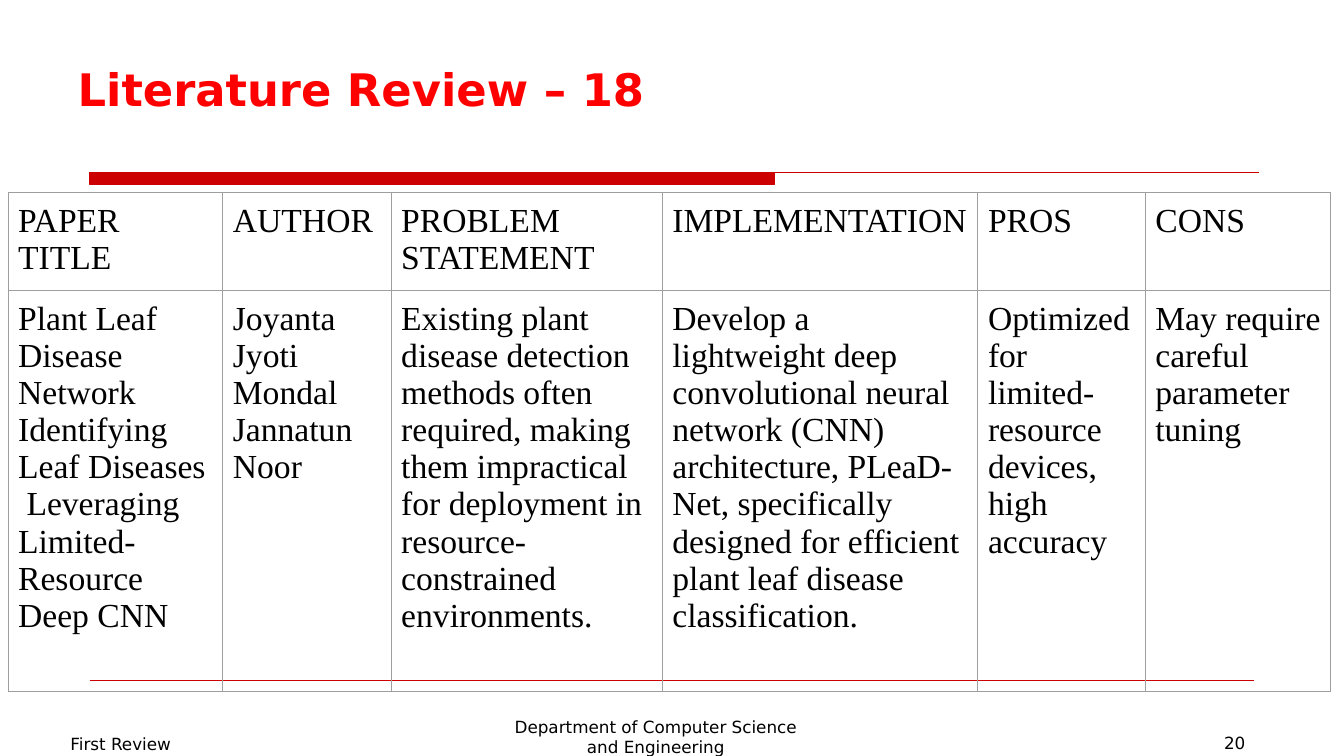
"""Build the literature review slide with its ruled paper table."""
from lxml.etree import SubElement
from pptx import Presentation
from pptx.dml.color import RGBColor as Rgb
from pptx.enum.shapes import MSO_CONNECTOR as Link, MSO_SHAPE as Shape
from pptx.enum.text import MSO_ANCHOR as Anchor, MSO_AUTO_SIZE as Fit, PP_ALIGN as Align
from pptx.oxml import parse_xml
from pptx.oxml.ns import nsdecls, qn
from pptx.util import Inches, Pt

TITLE = "Literature Review – 18"
ROWS = [
    ["PAPER\vTITLE", "AUTHOR", "PROBLEM STATEMENT", "IMPLEMENTATION", "PROS", "CONS"],
    ["Plant Leaf Disease Network Identifying\n"
     "Leaf Diseases  Leveraging Limited-Resource Deep CNN",
     "Joyanta Jyoti Mondal\nJannatun Noor",
     "Existing plant disease detection methods often required, making them "
     "impractical for deployment in resource-constrained environments.",
     "Develop a lightweight deep convolutional neural network (CNN) architecture, "
     "PLeaD-Net, specifically designed for efficient plant leaf disease classification.",
     "Optimized for limited-resource devices, high accuracy",
     "May require careful parameter tuning"],
]
WIDTHS = [2.13, 1.67, 2.69, 3.13, 1.66, 1.84]
HEIGHTS = [0.97, 3.98]
FOOTERS = [
    ("20", (9.56, 7.22, 2.89, 0.52), Align.RIGHT, 0.05),
    ("Department of Computer Science and Engineering",
     (4.9, 7.01, 3.21, 0.61), Align.CENTER, 0.1),
    ("First Review", (0.6, 7.18, 3.28, 0.4), Align.LEFT, 0.1),
]
RULES = [(0.89, 12.49, 1.71), (0.89, 12.44, 6.75)]
BAR = (0.89, 1.71, 6.79, 0.12)
COLORS = {"title": "FF0000", "rule": "CC0000", "text": "000000", "grid": "9E9E9E"}
SANS, SERIF = "DejaVu Sans", "Times New Roman"


def color(name):
    return Rgb.from_string(COLORS[name])


def style(frame, face, size, tone="text", align=Align.LEFT, bold=False):
    for para in frame.paragraphs:
        para.alignment = align
        for run in para.runs:
            font = run.font
            font.name, font.size, font.bold = face, Pt(size), bold
            font.color.rgb = color(tone)


def pad(box, side, edge):
    box.margin_left = box.margin_right = Inches(side)
    box.margin_top = box.margin_bottom = Inches(edge)


def border(cell):
    props = cell._tc.get_or_add_tcPr()
    for spot, side in enumerate("LRTB"):
        props.insert(spot, parse_xml(
            f'<a:ln{side} {nsdecls("a")} w="{Pt(0.75)}"><a:solidFill>'
            f'<a:srgbClr val="{COLORS["grid"]}"/></a:solidFill></a:ln{side}>'))


def add_rules(slide):
    bar = slide.shapes.add_shape(Shape.RECTANGLE, *map(Inches, BAR))
    bar.shadow.inherit = False
    bar.fill.solid()
    bar.fill.fore_color.rgb = color("rule")
    lines = [bar.line]
    for left, right, top in RULES:
        ends = map(Inches, (left, top, right, top))
        rule = slide.shapes.add_connector(Link.STRAIGHT, *ends)
        SubElement(rule._element.spPr, qn("a:effectLst"))
        lines.append(rule.line)
    for line in lines:
        line.color.rgb, line.width = color("rule"), Pt(0.75)


def add_title(slide):
    title = slide.shapes.title
    title.left, title.top, title.width, title.height = map(
        Inches, (0.67, -0.13, 11.67, 1.33))
    frame = title.text_frame
    frame.text = TITLE
    frame.auto_size, frame.vertical_anchor = Fit.NONE, Anchor.BOTTOM
    pad(frame, 0.1, 0.05)
    style(frame, SANS, 32, "title", bold=True)


def add_grid(slide):
    area = map(Inches, (0.08, 1.91, sum(WIDTHS), sum(HEIGHTS)))
    grid = slide.shapes.add_table(len(ROWS), len(WIDTHS), *area).table
    grid.first_row = grid.horz_banding = False
    for col, width in zip(grid.columns, WIDTHS):
        col.width = Inches(width)
    for row, height, texts in zip(grid.rows, HEIGHTS, ROWS):
        row.height = Inches(height)
        for cell, text in zip(row.cells, texts):
            cell.text_frame.text = text
            cell.fill.background()
            pad(cell, 0.1, 0.1)
            border(cell)
            style(cell.text_frame, SERIF, 24)


def add_footers(slide):
    for text, area, align, edge in FOOTERS:
        frame = slide.shapes.add_textbox(*map(Inches, area)).text_frame
        frame.text, frame.word_wrap = text, True
        pad(frame, 0.1, edge)
        style(frame, SANS, 12, align=align)


def main():
    deck = Presentation()
    deck.slide_width, deck.slide_height = Inches(13.33), Inches(7.5)
    slide = deck.slides.add_slide(deck.slide_layouts[5])
    add_rules(slide)
    add_title(slide)
    add_grid(slide)
    add_footers(slide)
    deck.save("out.pptx")


if __name__ == "__main__":
    main()
